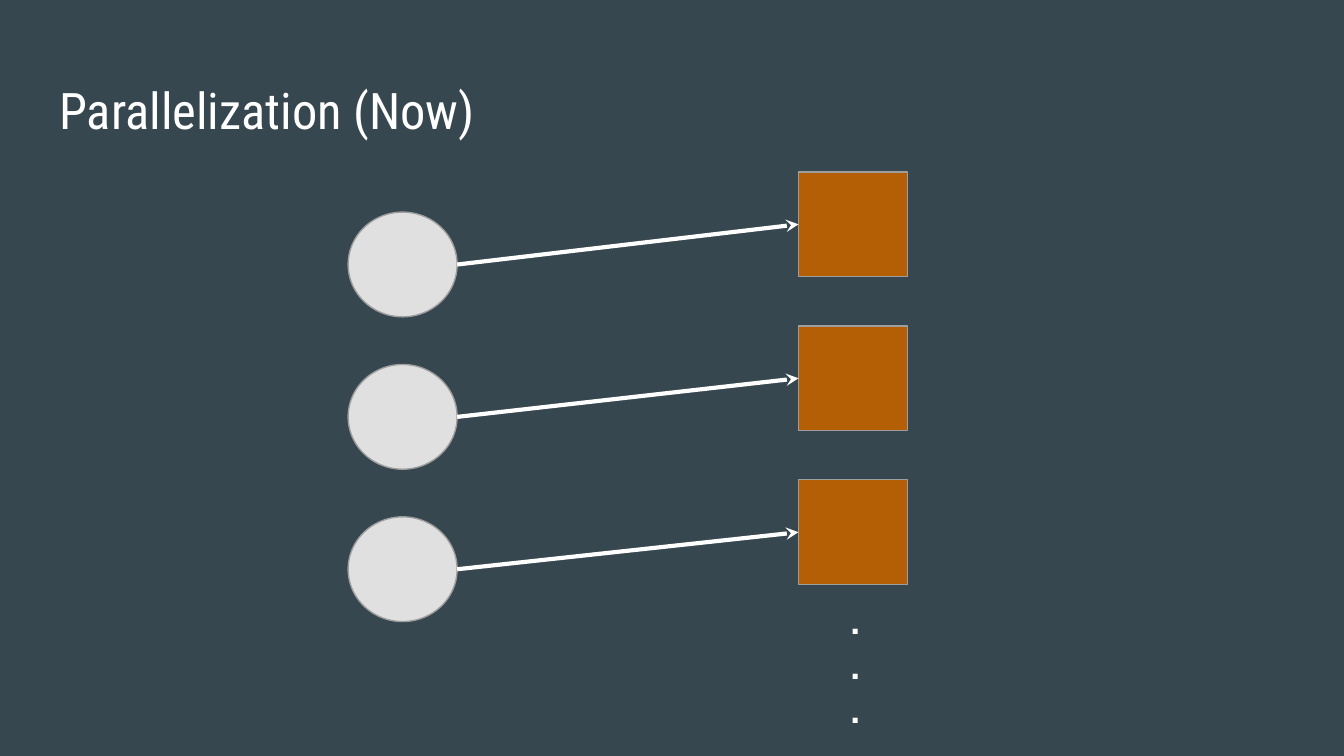
from lxml.etree import SubElement
from pptx import Presentation
from pptx.dml.color import RGBColor
from pptx.enum.shapes import MSO_CONNECTOR, MSO_SHAPE
from pptx.enum.text import MSO_ANCHOR, PP_ALIGN
from pptx.oxml.ns import qn
from pptx.util import Cm, Pt

# Content
TITLE = "Parallelization (Now)"
PAIR_COUNT = 3
DOTS = [".", ".", "."]

# Colours
SLATE = RGBColor(0x37, 0x47, 0x4F)
WHITE = RGBColor(0xFF, 0xFF, 0xFF)
LIGHT_GREY = RGBColor(0xE0, 0xE0, 0xE0)
MID_GREY = RGBColor(0x9E, 0x9E, 0x9E)
ORANGE = RGBColor(0xB4, 0x5F, 0x06)

# Layout in cm: left, first top and vertical pitch of each column
NODE_WIDTH, NODE_HEIGHT = 2.06, 1.98
CIRCLE_LEFT, CIRCLE_TOP, CIRCLE_PITCH = 6.58, 4.01, 2.88
SQUARE_LEFT, SQUARE_TOP, SQUARE_PITCH = 15.09, 3.25, 2.91


def add_node(slide, preset, left, top, colour):
    node = slide.shapes.add_shape(
        preset, Cm(left), Cm(top), Cm(NODE_WIDTH), Cm(NODE_HEIGHT))
    node.shadow.inherit = False
    node.fill.solid()
    node.fill.fore_color.rgb = colour
    node.line.color.rgb = MID_GREY
    node.line.width = Pt(0.75)
    return node


def add_arrow(slide, circle, square):
    start_x = circle.left + circle.width
    start_y = circle.top + circle.height // 2
    arrow = slide.shapes.add_connector(
        MSO_CONNECTOR.STRAIGHT, start_x, start_y, square.left, square.top)
    arrow.end_connect(square, 1)
    arrow.line.color.rgb = WHITE
    arrow.line.width = Pt(2.25)
    SubElement(arrow.line._get_or_add_ln(), qn("a:tailEnd"), type="stealth")
    SubElement(arrow._element.spPr, qn("a:effectLst"))


def set_insets(frame):
    frame.margin_left = frame.margin_right = Cm(0.25)
    frame.margin_top = frame.margin_bottom = Cm(0.25)
    frame.vertical_anchor = MSO_ANCHOR.TOP
    frame.word_wrap = True


def style_text(paragraph, font_name, size, bold):
    paragraph.alignment = PP_ALIGN.LEFT
    paragraph.font.name = font_name
    paragraph.font.size = Pt(size)
    paragraph.font.bold = bold
    paragraph.font.color.rgb = WHITE


prs = Presentation()
prs.slide_width, prs.slide_height = Cm(25.4), Cm(14.29)
slide = prs.slides.add_slide(prs.slide_layouts[5])
slide.background.fill.solid()
slide.background.fill.fore_color.rgb = SLATE

# Title
title = slide.shapes.title
title.left, title.top = Cm(0.87), Cm(1.24)
title.width, title.height = Cm(23.67), Cm(1.6)
title.text_frame.text = TITLE
set_insets(title.text_frame)
style_text(title.text_frame.paragraphs[0], "Roboto Condensed", 27, False)

# Circles and squares
circles = [add_node(slide, MSO_SHAPE.OVAL, CIRCLE_LEFT,
                    CIRCLE_TOP + row * CIRCLE_PITCH, LIGHT_GREY)
           for row in range(PAIR_COUNT)]
squares = [add_node(slide, MSO_SHAPE.RECTANGLE, SQUARE_LEFT,
                    SQUARE_TOP + row * SQUARE_PITCH, ORANGE)
           for row in range(PAIR_COUNT)]

# Continuation dots below the squares
dots = slide.shapes.add_textbox(Cm(15.82), Cm(11.05), Cm(1.32), Cm(2.95))
dots.text_frame.text = "\n".join(DOTS)
set_insets(dots.text_frame)
for dot in dots.text_frame.paragraphs:
    dot.line_spacing = 1.04
    style_text(dot, "Arial", 19, True)

# Arrows from each circle to its square
for circle, square in zip(circles, squares):
    add_arrow(slide, circle, square)

prs.save("out.pptx")
